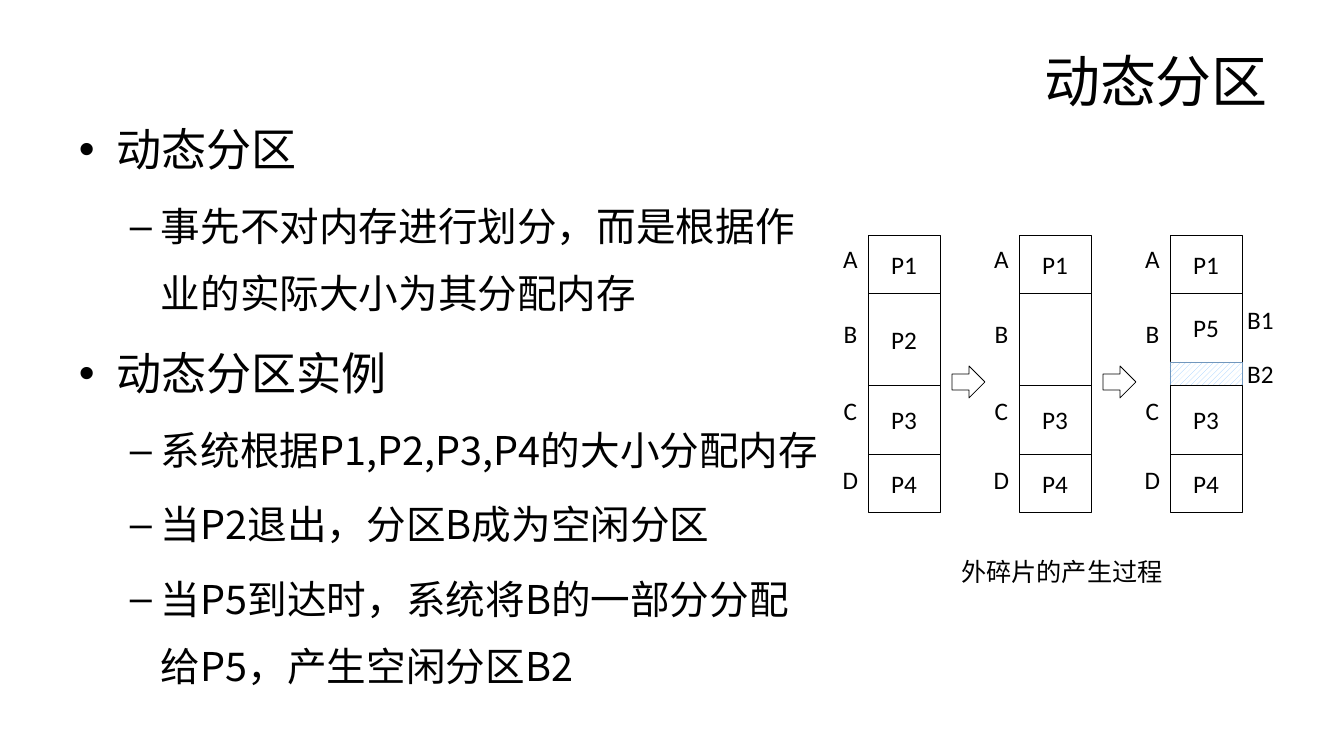
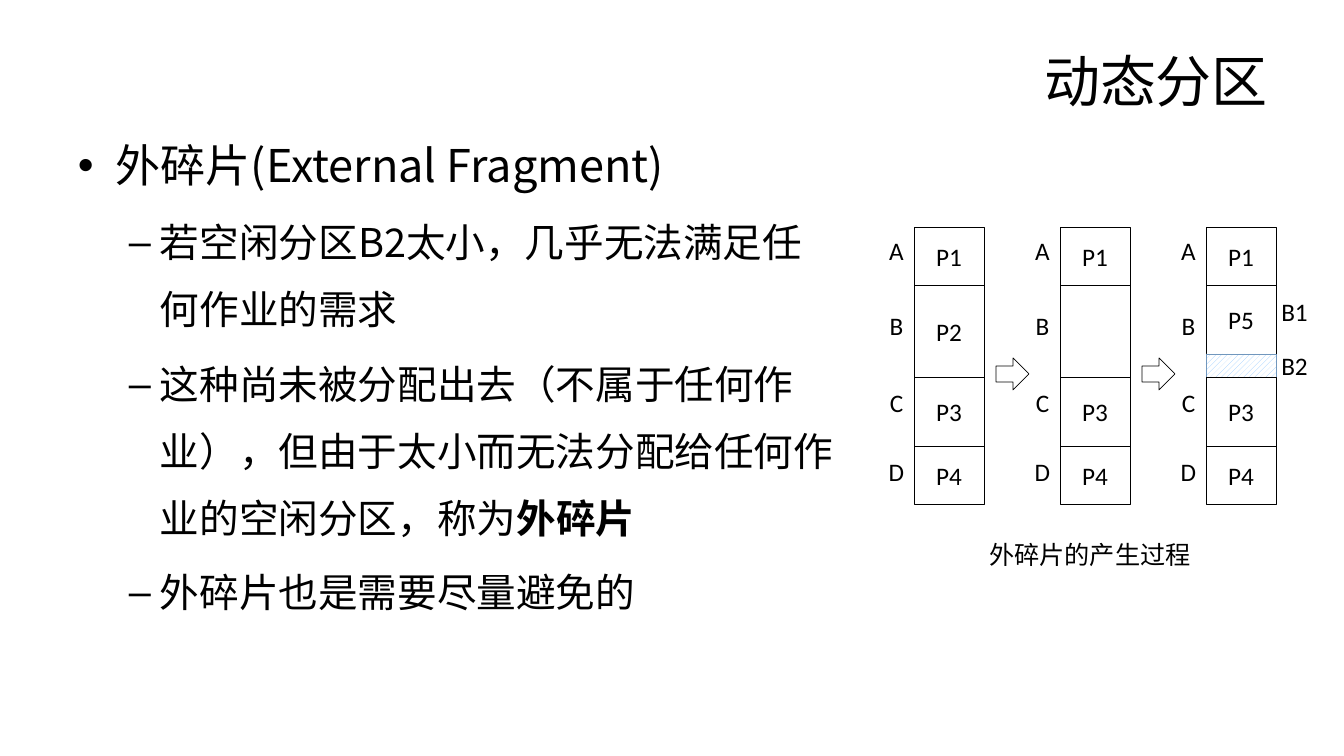
from itertools import accumulate

from lxml.etree import SubElement
from pptx import Presentation
from pptx.dml.color import RGBColor
from pptx.enum.dml import MSO_PATTERN
from pptx.enum.shapes import MSO_SHAPE as Shape
from pptx.enum.text import MSO_ANCHOR as Anchor, PP_ALIGN as Align
from pptx.oxml.ns import qn
from pptx.util import Emu, Pt

COLORS = {"ink": "000000", "paper": "FFFFFF", "hatch": "99CCFF", "hatch_line": "7197BD"}
HEADING, LATIN, CJK = "Arial", "Calibri", "Noto Sans CJK SC"
TITLE = "动态分区"
CAPTION = "外碎片的产生过程"

# bullet, left margin px, hanging px, size pt, line pitch pt
LEVELS = [("•", 38, 38, 32.2, 54), ("–", 82, 31, 28.3, 48)]

# block heights px, followed by the blocks of each memory state
BLOCK_HEIGHTS = [58, 92, 69, 58]
SPLIT_HEIGHTS = [58, 69, 23, 69, 58]
STATES = [
    (BLOCK_HEIGHTS, ["P1", "P2", "P3", "P4"]),
    (BLOCK_HEIGHTS, ["P1", "", "P3", "P4"]),
    (SPLIT_HEIGHTS, ["P1", "P5", None, "P3", "P4"]),
]
PARTITION_LABELS = {"A": -1, "B": 74, "C": 151, "D": 220}
SPLIT_LABELS = {"B1": 60, "B2": 114}

SLIDES = [
    {
        "body": (69, 95, 764, 641),
        "lines": [
            (0, ["动态分区"]),
            (1, ["事先不对内存进行划分，而是根据作业的实际大小为其分配内存"]),
            (0, ["动态分区实例"]),
            (1, ["系统根据P1,P2,P3,P4的大小分配内存"]),
            (1, ["当P2退出，分区B成为空闲分区"]),
            (1, ["当P5到达时，系统将B的一部分分配给P5，产生空闲分区B2"]),
        ],
        "diagram": {"left": 868, "top": 235, "width": 72, "pitch": 151, "caption": (74, 310)},
    },
    {
        "body": (68, 111, 784, 545),
        "lines": [
            (0, ["外碎片(External Fragment)"]),
            (1, ["若空闲分区B2太小，几乎无法满足任何作业的需求"]),
            (1, ["这种尚未被分配出去（不属于任何作业），但由于太小而无法分配给任何作业的空闲分区，称为",
                 "外碎片"]),
            (1, ["外碎片也是需要尽量避免的"]),
        ],
        "diagram": {"left": 914, "top": 227, "width": 70, "pitch": 146, "caption": (56, 301)},
    },
]


def px(length):
    return Emu(round(length * 914400 / 100.8))


def place(left, top, width, height):
    return [px(length) for length in (left, top, width, height)]


def color(name):
    return RGBColor.from_string(COLORS[name])


def add_span(para, text, size, font, bold=False):
    span = para.add_run()
    span.text = text
    span.font.size = Pt(size)
    span.font.bold = bold
    span.font.color.rgb = color("ink")
    span.font.name = font
    SubElement(span._r.get_or_add_rPr(), qn("a:ea"), typeface=CJK)


def center_text(box, text):
    frame = box.text_frame
    frame.word_wrap = True
    frame.vertical_anchor = Anchor.MIDDLE
    frame.margin_left = frame.margin_right = frame.margin_top = frame.margin_bottom = 0
    para = frame.paragraphs[0]
    para.alignment = Align.CENTER
    add_span(para, text, 18, LATIN)


def add_label(group, text, *bounds):
    center_text(group.shapes.add_textbox(*place(*bounds)), text)


def add_outline(group, kind, *bounds):
    shape = group.shapes.add_shape(kind, *place(*bounds))
    shape.shadow.inherit = False
    shape.fill.background()
    shape.line.color.rgb = color("ink")
    shape.line.width = Pt(0.5)
    return shape


def hatch(shape):
    shape.fill.patterned()
    shape.fill.pattern = MSO_PATTERN.WIDE_UPWARD_DIAGONAL
    shape.fill.fore_color.rgb = color("hatch")
    shape.fill.back_color.rgb = color("paper")
    shape.line.color.rgb = color("hatch_line")


def add_title(page):
    title = page.shapes.title
    title.left, title.top, title.width, title.height = place(68, 30, 1210, 100)
    title.text_frame.vertical_anchor = Anchor.MIDDLE
    para = title.text_frame.paragraphs[0]
    para.alignment = Align.RIGHT
    add_span(para, TITLE, 40, HEADING)


def add_body(page, bounds, lines):
    frame = page.shapes.add_textbox(*place(*bounds)).text_frame
    frame.word_wrap = True
    for index, (level, spans) in enumerate(lines):
        para = frame.add_paragraph() if index else frame.paragraphs[0]
        bullet, margin, hanging, size, pitch = LEVELS[level]
        props = para._p.get_or_add_pPr()
        props.set("marL", str(px(margin)))
        props.set("indent", str(-px(hanging)))
        SubElement(props, qn("a:buFont"), typeface=HEADING)
        SubElement(props, qn("a:buChar"), char=bullet)
        para.level = level
        para.line_spacing = Pt(pitch)
        para.space_before = Pt(5 if index else 0)
        for position, text in enumerate(spans):
            add_span(para, text, size, CJK, bold=position > 0)


def add_memory_state(group, left, top, width, heights, blocks):
    """Stack the blocks of one memory state and label its partitions on the left."""
    offsets = accumulate(heights, initial=0)
    for offset, height, name in zip(offsets, heights, blocks):
        block = add_outline(group, Shape.RECTANGLE, left, top + offset, width, height)
        if name is None:
            hatch(block)
        elif name:
            center_text(block, name)
    for text, offset in PARTITION_LABELS.items():
        add_label(group, text, left - 34, top + offset, 33, 48)


def add_diagram(page, left, top, width, pitch, caption):
    group = page.shapes.add_group_shape()
    for index, (heights, blocks) in enumerate(STATES):
        column = left + index * pitch
        add_memory_state(group, column, top, width, heights, blocks)
        if index < len(STATES) - 1:
            add_outline(group, Shape.RIGHT_ARROW, column + width + 12, top + 131, 33, 32)
    for text, offset in SPLIT_LABELS.items():
        add_label(group, text, column + width + 2, top + offset, 33, 48)
    add_label(group, CAPTION, left + caption[0], top + caption[1], 240, 52)


def main():
    deck = Presentation()
    deck.slide_width, deck.slide_height = px(1344), px(756)
    for content in SLIDES:
        page = deck.slides.add_slide(deck.slide_layouts[5])
        add_title(page)
        add_body(page, content["body"], content["lines"])
        add_diagram(page, **content["diagram"])
    deck.save("out.pptx")


if __name__ == "__main__":
    main()
